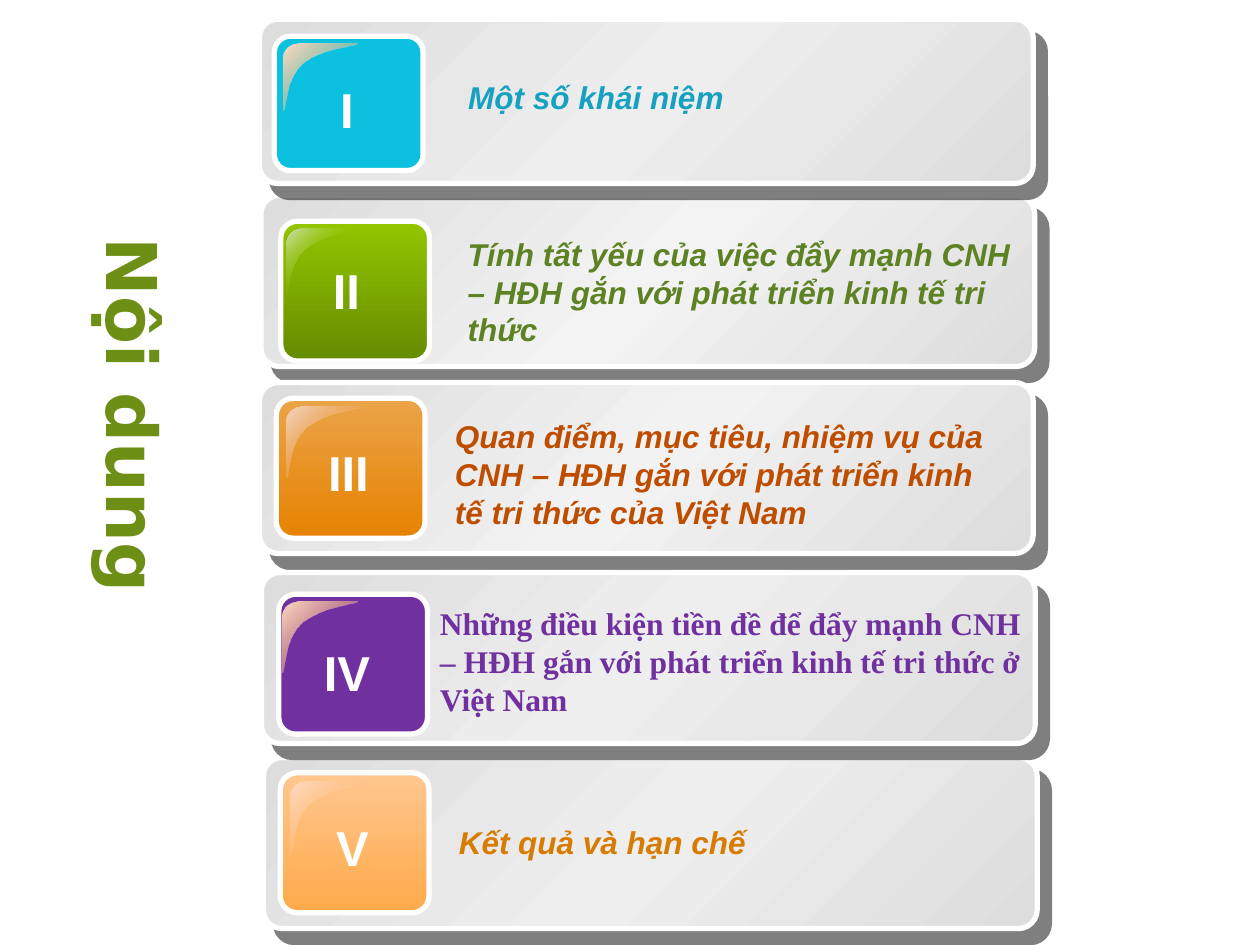
import collections

import lxml.etree
import pptx
import pptx.dml.color
import pptx.enum.shapes
import pptx.enum.text
import pptx.oxml.ns
import pptx.util

Cm = pptx.util.Cm
qn = pptx.oxml.ns.qn
ROUNDED = pptx.enum.shapes.MSO_SHAPE.ROUNDED_RECTANGLE

# Boxes are (left, top, width, height) in cm. The badge and the label are placed
# from the card's corner, the gloss and the numeral from the badge's corner.
Item = collections.namedtuple(
    "Item", "numeral text card badge gloss numeral_box label "
    "badge_colors gloss_stops text_color middle font italic",
    defaults=("EEEEEE", "Arial", True))

PEACH_GLOSS = [(0, "FFDBC3", 100), (100, "FFA94A", 0)]

# Listed from back to front, as each card's shadow falls on the one below it.
ITEMS = [
    Item("II", "Tính tất yếu của việc đẩy mạnh CNH – HĐH gắn với phát triển kinh tế tri thức",
         (5.26, 3.94, 15.6, 3.45), (0.4, 0.52, 3, 2.82), (0.12, 0.15, 1.5, 1.42),
         (0.79, 0.66, 1.07, 1.45), (3.92, 0.67, 11.89, 2.57), ["94C600", "658B00"],
         [(0, "CEE2B5", 100), (50, "94C600", 0), (100, "CEE2B5", 100)], "5D8223", "F3F3F3"),
    Item("III", "Quan điểm, mục tiêu, nhiệm vụ của CNH – HĐH gắn với phát triển kinh tế "
         "tri thức của Việt Nam",
         (5.23, 7.71, 15.6, 3.45), (0.34, 0.32, 3, 2.82), (0.2, 0.17, 1.5, 1.42),
         (0.78, 0.76, 1.35, 1.45), (3.69, 0.58, 11.48, 2.57), ["EBA449", "E68200"],
         [(0, "F5D6C9", 100), (100, "E68200", 0)], "BF4D00", "F2F2F2"),
    Item("V", "Kết quả và hạn chế",
         (5.31, 15.27, 15.6, 3.45), (0.34, 0.31, 3, 2.82), (0.2, 0.18, 1.5, 1.42),
         (0.87, 0.78, 1.17, 1.45), (3.69, 1.19, 11.48, 1.02), ["FFC78F", "FFA94A"],
         PEACH_GLOSS, "D77C01"),
    Item("IV", "Những điều kiện tiền đề để đẩy mạnh CNH – HĐH gắn với phát triển kinh tế "
         "tri thức ở Việt Nam",
         (5.27, 11.54, 15.6, 3.45), (0.35, 0.44, 3, 2.82), (0.08, 0.15, 1.5, 1.42),
         (0.65, 0.84, 1.45, 1.45), (3.35, 0.52, 12.45, 2.57), ["7030A0"],
         PEACH_GLOSS, "7030A0", font="Times New Roman", italic=False),
    Item("I", "Một số khái niệm",
         (5.23, 0.39, 15.6, 3.31), (0.3, 0.34, 3, 2.71), (0.18, 0.15, 1.5, 1.35),
         (1.07, 0.75, 0.79, 1.37), (3.96, 1.06, 11.48, 1), ["0CC1E0"],
         PEACH_GLOSS, "17A1C1"),
]


def color(value):
    return pptx.dml.color.RGBColor.from_string(value)


def lengths(box):
    return [Cm(value) for value in box]


def within(outer, inner):
    """Move the inner box, given from the outer box's corner, onto the slide."""
    return (outer[0] + inner[0], outer[1] + inner[1], inner[2], inner[3])


def add_color(parent, value, opacity):
    element = lxml.etree.SubElement(parent, qn("a:srgbClr"), val=value)
    if opacity < 100:
        lxml.etree.SubElement(element, qn("a:alpha"), val=str(opacity * 1000))


def fill_gradient(shape, stops, angle):
    """Fill with (position, colour, opacity) stops; the angle runs clockwise."""
    shape.fill.gradient()
    shape.fill.gradient_angle = 360 - angle
    stop_list = shape._element.spPr.find(".//" + qn("a:gsLst"))
    for stop in list(stop_list):
        stop_list.remove(stop)
    for position, value, opacity in stops:
        stop = lxml.etree.SubElement(stop_list, qn("a:gs"), pos=str(position * 1000))
        add_color(stop, value, opacity)


def add_offset_shadow(shape):
    effects = shape._element.spPr.find(qn("a:effectLst"))
    shadow = lxml.etree.SubElement(
        effects, qn("a:outerShdw"), blurRad="0", dist=str(pptx.util.Pt(10.6)),
        dir=str(49 * 60000), algn="ctr", rotWithShape="0")
    add_color(shadow, "000000", 50)


def write_text(frame, text, *, size, fill, font="Arial", italic=False,
               align=pptx.enum.text.PP_ALIGN.LEFT, wrap=True):
    frame.word_wrap = wrap
    paragraph = frame.paragraphs[0]
    paragraph.alignment = align
    run = paragraph.add_run()
    run.text = text
    run.font.name = font
    run.font.size = pptx.util.Pt(size)
    run.font.bold = True
    run.font.italic = italic
    run.font.color.rgb = color(fill)


def add_panel(shapes, box, rounding):
    panel = shapes.add_shape(ROUNDED, *lengths(box))
    panel.adjustments[0] = rounding
    panel.line.color.rgb = color("FFFFFF")
    panel.line.width = pptx.util.Pt(3)
    panel.shadow.inherit = False
    return panel


def bend_lines(shape, first_lines):
    """Turn each run of three lines, given by its first index, into one curve."""
    lines = shape._element.spPr.findall(".//" + qn("a:lnTo"))
    for first in first_lines:
        bend = lxml.etree.Element(qn("a:cubicBezTo"))
        lines[first].addprevious(bend)
        for line in lines[first:first + 3]:
            bend.append(line[0])
            line.getparent().remove(line)


def add_gloss(shapes, box, stops):
    left, top, width, height = box
    units = 1000
    outline = [(0.2, 0), (0.1, 0), (0, 0.09), (0, 0.2), (0, 1),
               (0.04, 1), (0.02, 0.5), (0.27, 0.29), (0.53, 0.07), (1, 0.05), (1, 0)]
    points = [(x * width * units, y * height * units) for x, y in outline]
    builder = shapes.build_freeform(*points[0], scale=Cm(1) / units)
    builder.add_line_segments(points[1:], close=True)
    gloss = builder.convert_to_shape(Cm(left), Cm(top))
    bend_lines(gloss, (0, 4, 7))
    fill_gradient(gloss, stops, 45)
    gloss.line.fill.background()
    gloss.shadow.inherit = False


def add_item(slide, item):
    shapes = slide.shapes.add_group_shape().shapes
    card = add_panel(shapes, item.card, 0.11)
    fill_gradient(card, [(0, "DDDDDD", 100), (50, item.middle, 100), (100, "DDDDDD", 100)], 45)
    add_offset_shadow(card)

    badge_box = within(item.card, item.badge)
    badge = add_panel(shapes, badge_box, 0.12)
    if len(item.badge_colors) == 1:
        badge.fill.solid()
        badge.fill.fore_color.rgb = color(item.badge_colors[0])
    else:
        first, last = item.badge_colors
        fill_gradient(badge, [(0, first, 100), (100, last, 100)], 90)
    add_gloss(shapes, within(badge_box, item.gloss), item.gloss_stops)

    numeral = shapes.add_textbox(*lengths(within(badge_box, item.numeral_box)))
    write_text(numeral.text_frame, item.numeral, size=28, fill="FFFFFF",
               align=pptx.enum.text.PP_ALIGN.CENTER, wrap=False)
    label = shapes.add_textbox(*lengths(within(item.card, item.label)))
    write_text(label.text_frame, item.text, size=18, fill=item.text_color,
               font=item.font, italic=item.italic)


def place_title(title, box):
    title.left, title.top, title.width, title.height = lengths(box)
    title.rotation = 90
    title.text_frame.auto_size = pptx.enum.text.MSO_AUTO_SIZE.NONE
    title.text_frame.vertical_anchor = pptx.enum.text.MSO_ANCHOR.MIDDLE
    write_text(title.text_frame, "Nội dung", size=40, fill="6E8F15", font="DejaVu Sans")


def main():
    presentation = pptx.Presentation()
    presentation.slide_width, presentation.slide_height = Cm(25.4), Cm(19.05)
    slide = presentation.slides.add_slide(presentation.slide_layouts[5])
    place_title(slide.shapes.title, (-3.6, 10.21, 12.62, 1.27))
    for item in ITEMS:
        add_item(slide, item)
    presentation.save("out.pptx")


if __name__ == "__main__":
    main()
